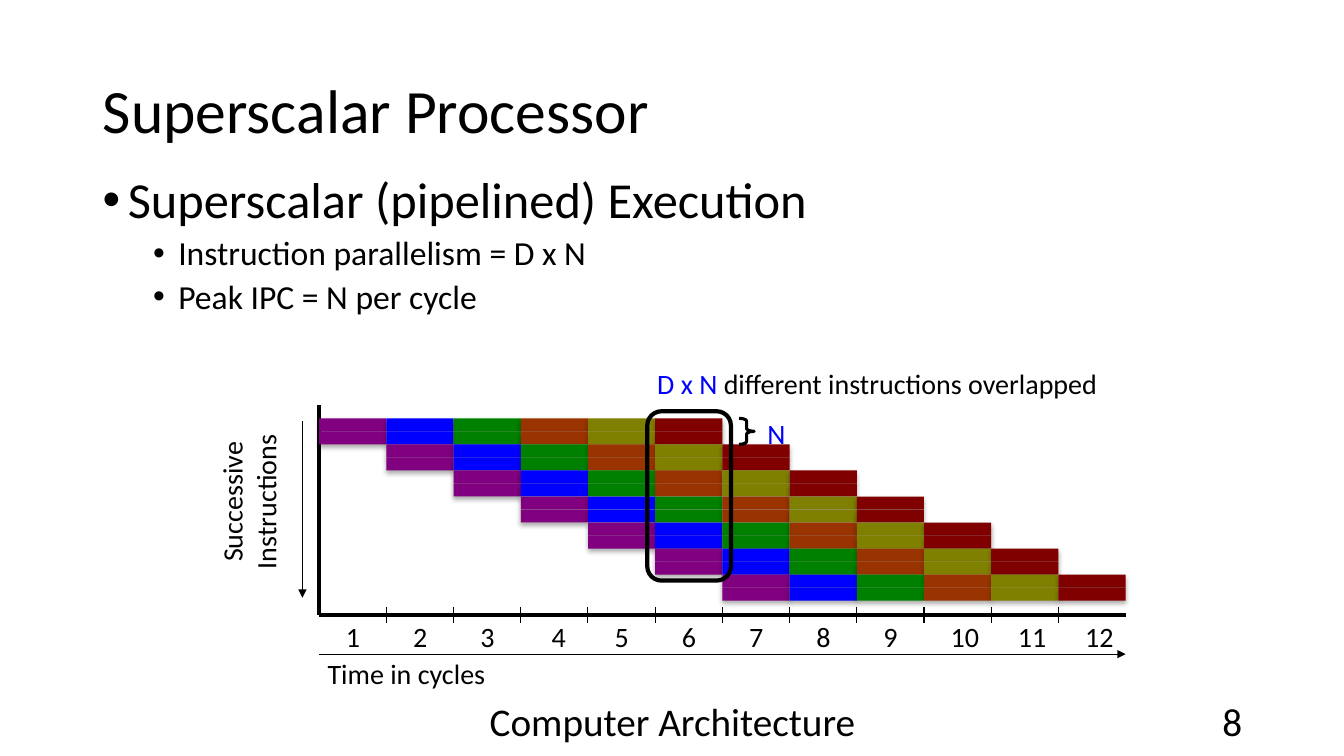
"""Build the slide that explains superscalar pipelined execution."""
import pptx
import pptx.dml.color
import pptx.enum.shapes
import pptx.enum.text
import pptx.oxml
import pptx.oxml.ns
import pptx.util

RGBColor = pptx.dml.color.RGBColor
Inches = pptx.util.Inches
Points = pptx.util.Pt
Shapes = pptx.enum.shapes.MSO_SHAPE
Align = pptx.enum.text.PP_ALIGN
Anchor = pptx.enum.text.MSO_ANCHOR

BLACK = RGBColor(0x00, 0x00, 0x00)
BLUE = RGBColor(0x00, 0x00, 0xFF)
PURPLE = RGBColor(0x80, 0x00, 0x80)
GREEN = RGBColor(0x00, 0x80, 0x00)
RUST = RGBColor(0x99, 0x33, 0x00)
OLIVE = RGBColor(0x80, 0x80, 0x00)
MAROON = RGBColor(0x80, 0x00, 0x00)

FONT = "Calibri"
TITLE = "Superscalar Processor"
BULLETS = [
    ("Superscalar (pipelined) Execution", 36, 0.25, 10),
    ("Instruction parallelism = D x N", 24, 0.75, 5),
    ("Peak IPC = N per cycle", 24, 0.75, 5),
]
STAGES = [PURPLE, BLUE, GREEN, RUST, OLIVE, MAROON]
CYCLES = 12
ISSUE_WIDTH = 2
ISSUE_GROUPS = CYCLES - len(STAGES) + 1
LABEL_NUDGES = {4: 0.04}

SLIDE_WIDTH, SLIDE_HEIGHT = 13.33, 7.5
CYCLE = SLIDE_WIDTH / 20
ROW = SLIDE_HEIGHT / 58
CHART_LEFT = 4.75 * CYCLE
CHART_RIGHT = CHART_LEFT + CYCLES * CYCLE
FIRST_ROW = 4.15
AXIS_TOP, AXIS_BOTTOM = 4.02, 6.1
TICK = 0.08
TIME_ARROW = 6.49
ORDER_ARROW = 3

NAMESPACE = pptx.oxml.ns.nsdecls("a")
SHADOW = (
    f'<a:effectLst {NAMESPACE}><a:outerShdw blurRad="44450" dist="27940" '
    'dir="5400000" algn="ctr" rotWithShape="0"><a:srgbClr val="000000">'
    '<a:alpha val="32000"/></a:srgbClr></a:outerShdw></a:effectLst>'
)


def box(left, top, width, height):
    return [Inches(length) for length in (left, top, width, height)]


def format_paragraph(paragraph, size, color=BLACK, align=Align.LEFT):
    paragraph.alignment = align
    for run in paragraph.runs:
        run.font.name = FONT
        run.font.size = Points(size)
        run.font.color.rgb = color


def add_text(slide, place, text, size=20, color=BLACK, align=Align.LEFT, wrap=False):
    shape = slide.shapes.add_textbox(*box(*place))
    frame = shape.text_frame
    frame.word_wrap = wrap
    frame.text = text
    for paragraph in frame.paragraphs:
        format_paragraph(paragraph, size, color, align)
    return shape


def add_line(slide, start, end, width=0.75, arrow=False):
    line = slide.shapes.add_connector(
        pptx.enum.shapes.MSO_CONNECTOR.STRAIGHT,
        *[Inches(length) for length in (*start, *end)])
    line.line.color.rgb = BLACK
    line.line.width = Points(width)
    if arrow:
        line.line._get_or_add_ln().append(
            pptx.oxml.parse_xml(f'<a:tailEnd {NAMESPACE} type="triangle"/>'))
    line._element.spPr.append(pptx.oxml.parse_xml(f"<a:effectLst {NAMESPACE}/>"))


def add_outline(slide, kind, place, width, adjustment):
    shape = slide.shapes.add_shape(kind, *box(*place))
    shape.shadow.inherit = False
    shape.fill.background()
    shape.line.color.rgb = BLACK
    shape.line.width = Points(width)
    shape.adjustments[0] = adjustment


def add_stage(slide, column, row, color):
    place = CHART_LEFT + column * CYCLE, FIRST_ROW + row * ROW, CYCLE, ROW
    shape = slide.shapes.add_shape(Shapes.RECTANGLE, *box(*place))
    shape.fill.solid()
    shape.fill.fore_color.rgb = color
    shape.line.fill.background()
    shape._element.spPr.append(pptx.oxml.parse_xml(SHADOW))


def add_headings(slide):
    title = slide.shapes.title
    title.left, title.top, title.width, title.height = box(0.92, 0.4, 11.5, 1.45)
    title.text_frame.text = TITLE
    title.text_frame.vertical_anchor = Anchor.MIDDLE
    title.text_frame.paragraphs[0].line_spacing = 0.9
    format_paragraph(title.text_frame.paragraphs[0], 44)

    for place, text, align in (
        ((4.42, 6.95, 4.5, 0.4), "Computer Architecture", Align.CENTER),
        ((9.42, 6.95, 3, 0.4), "8", Align.RIGHT),
    ):
        footer = add_text(slide, place, text, 28, align=align, wrap=True)
        footer.text_frame.vertical_anchor = Anchor.MIDDLE

    lines = "\n".join(bullet[0] for bullet in BULLETS)
    body = add_text(slide, (0.92, 1.69, 11.5, 5.07), lines, wrap=True)
    for level, (paragraph, bullet) in enumerate(zip(body.text_frame.paragraphs, BULLETS)):
        _, size, indent, space = bullet
        format_paragraph(paragraph, size)
        paragraph.level = min(level, 1)
        paragraph.line_spacing = 0.9
        paragraph.space_before = Points(space)
        properties = paragraph._p.get_or_add_pPr()
        properties.set("marL", str(Inches(indent)))
        properties.set("indent", str(-Inches(0.25)))
        for mark in ('buFont %s typeface="Arial"', 'buChar %s char="•"'):
            properties.append(pptx.oxml.parse_xml(f"<a:{mark % NAMESPACE}/>"))


def add_axes(slide):
    add_line(slide, (CHART_RIGHT, AXIS_BOTTOM), (CHART_LEFT, AXIS_BOTTOM), 3)
    add_line(slide, (CHART_LEFT, AXIS_TOP), (CHART_LEFT, AXIS_BOTTOM), 3)
    add_line(slide, (CHART_LEFT, TIME_ARROW), (CHART_RIGHT, TIME_ARROW), arrow=True)
    add_line(slide, (ORDER_ARROW, 4.18), (ORDER_ARROW, 5.93), arrow=True)
    add_text(slide, (3.15, 6.46, 1.81, 0.44), "Time in cycles")
    order = add_text(slide, (2.08, 4.26, 0.88, 1.44), "Successive\nInstructions",
                     align=Align.CENTER)
    order.text_frame._txBody.bodyPr.set("vert", "vert270")

    for cycle in range(1, CYCLES + 1):
        right = CHART_LEFT + cycle * CYCLE
        if cycle < CYCLES:
            add_line(slide, (right, AXIS_BOTTOM - TICK), (right, AXIS_BOTTOM + TICK))
        left = right - 0.75 * CYCLE + LABEL_NUDGES.get(cycle, 0)
        width = 0.34 if cycle < 10 else 0.48
        add_text(slide, (left, AXIS_BOTTOM, width, 0.44), str(cycle))


def add_pipeline(slide):
    for row in range(ISSUE_GROUPS * ISSUE_WIDTH):
        for stage, color in enumerate(STAGES):
            add_stage(slide, row // ISSUE_WIDTH + stage, row, color)

    add_text(slide, (7.49, 4.08, 0.42, 0.44), "N", color=BLUE, align=Align.CENTER)
    add_outline(slide, Shapes.RIGHT_BRACE,
                (7.33, FIRST_ROW, 0.15, ISSUE_WIDTH * ROW), 2.25, 0.18)
    overlap = add_text(slide, (6.42, 3.59, 4.69, 0.44), "D x N", color=BLUE)
    run = overlap.text_frame.paragraphs[0].add_run()
    run.text = " different instructions overlapped"
    run.font.name = FONT
    run.font.size = Points(20)
    run.font.color.rgb = BLACK
    add_outline(slide, Shapes.ROUNDED_RECTANGLE, (6.42, 4.08, 0.83, 1.68), 3, 0.17)


def main():
    presentation = pptx.Presentation()
    presentation.slide_width = Inches(SLIDE_WIDTH)
    presentation.slide_height = Inches(SLIDE_HEIGHT)
    slide = presentation.slides.add_slide(presentation.slide_layouts[5])
    add_headings(slide)
    add_axes(slide)
    add_pipeline(slide)
    presentation.save("out.pptx")


if __name__ == "__main__":
    main()
